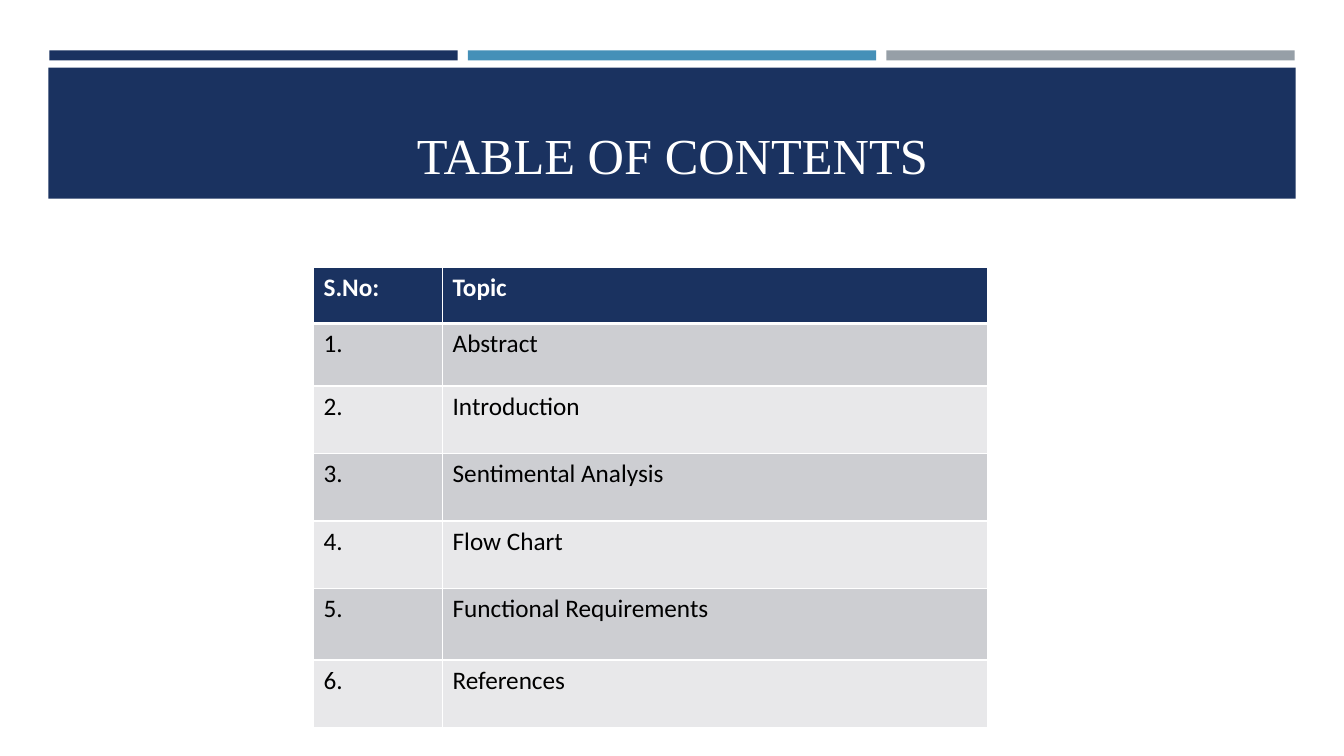
from pptx import Presentation
from pptx.dml.color import RGBColor
from pptx.enum.shapes import MSO_SHAPE
from pptx.enum.text import MSO_ANCHOR, PP_ALIGN
from pptx.util import Inches, Pt
from lxml import etree

RECT = MSO_SHAPE.RECTANGLE
BOTTOM = MSO_ANCHOR.BOTTOM
CENTER = PP_ALIGN.CENTER
NS = "http://schemas.openxmlformats.org/drawingml/2006/main"

THEME = {
    "navy": "1A3260", "blue": "4590B8", "gray": "969FA7",
    "white": "FFFFFF", "black": "000000",
    "odd": "CDCED2", "even": "E8E8EA",
    "head": ("Times New Roman", 36), "body": ("Calibri", 18),
}


def add_run(frame, text, style, color, bold=False):
    run = frame.paragraphs[0].add_run()
    run.text = text
    name, size = THEME[style]
    run.font.name, run.font.size, run.font.bold = name, Pt(size), bold
    run.font.color.rgb = RGBColor.from_string(THEME[color])


def add_edge(cell, side, width):
    line = etree.SubElement(cell._tc.get_or_add_tcPr(), f"{{{NS}}}{side}", w=str(Pt(width)))
    fill = etree.SubElement(line, f"{{{NS}}}solidFill")
    etree.SubElement(fill, f"{{{NS}}}srgbClr", val=THEME["white"])


deck = Presentation()
deck.slide_width, deck.slide_height = Inches(13.33), Inches(7.5)
slide = deck.slides.add_slide(deck.slide_layouts[5])

# Three thin bars above the title band
STEP = 4.15
bars = [(0.49 + i * STEP, 0.5, 4.05, 0.1, color)
        for i, color in enumerate(("navy", "blue", "gray"))]
for x, y, w, h, color in bars + [(0.48, 0.67, 12.37, 1.3, "navy")]:
    bar = slide.shapes.add_shape(RECT, Inches(x), Inches(y), Inches(w), Inches(h))
    bar.shadow.inherit = False
    bar.fill.solid()
    bar.fill.fore_color.rgb = RGBColor.from_string(THEME[color])
    bar.line.fill.background()

# Title, brought in front of its band
title = slide.shapes.title
title.left, title.top = Inches(0.64), Inches(0.77)
title.width, title.height = Inches(12.06), Inches(1.11)
title.element.getparent().append(title.element)
title.text_frame.word_wrap = True
title.text_frame.vertical_anchor = BOTTOM
title.text_frame.paragraphs[0].alignment = CENTER
add_run(title.text_frame, "TABLE OF CONTENTS", "head", "white")

# Contents table
topics = ["Abstract", "Introduction", "Sentimental Analysis", "Flow Chart",
          "Functional Requirements", "References"]
rows = [("S.No:", "Topic")] + [(f"{n}.", topic) for n, topic in enumerate(topics, 1)]
cols = [1.28, 5.41]
tall = [0.56, 0.62, 0.67, 0.67, 0.67, 0.71, 0.67]
table = slide.shapes.add_table(len(rows), len(cols), Inches(3.11), Inches(2.65),
                               Inches(sum(cols)), Inches(sum(tall))).table
for c, width in enumerate(cols):
    table.columns[c].width = Inches(width)
for r, row in enumerate(rows):
    table.rows[r].height = Inches(tall[r])
    top = r == 0
    shade = "navy" if top else "odd" if r % 2 else "even"
    for c, text in enumerate(row):
        cell = table.cell(r, c)
        add_run(cell.text_frame, text, "body", "white" if top else "black", top)
        for side in ("lnL", "lnR", "lnT", "lnB"):
            thick = (side == "lnB" and top) or (side == "lnT" and r == 1)
            add_edge(cell, side, 3 if thick else 1)
        cell.fill.solid()
        cell.fill.fore_color.rgb = RGBColor.from_string(THEME[shade])

deck.save("out.pptx")
